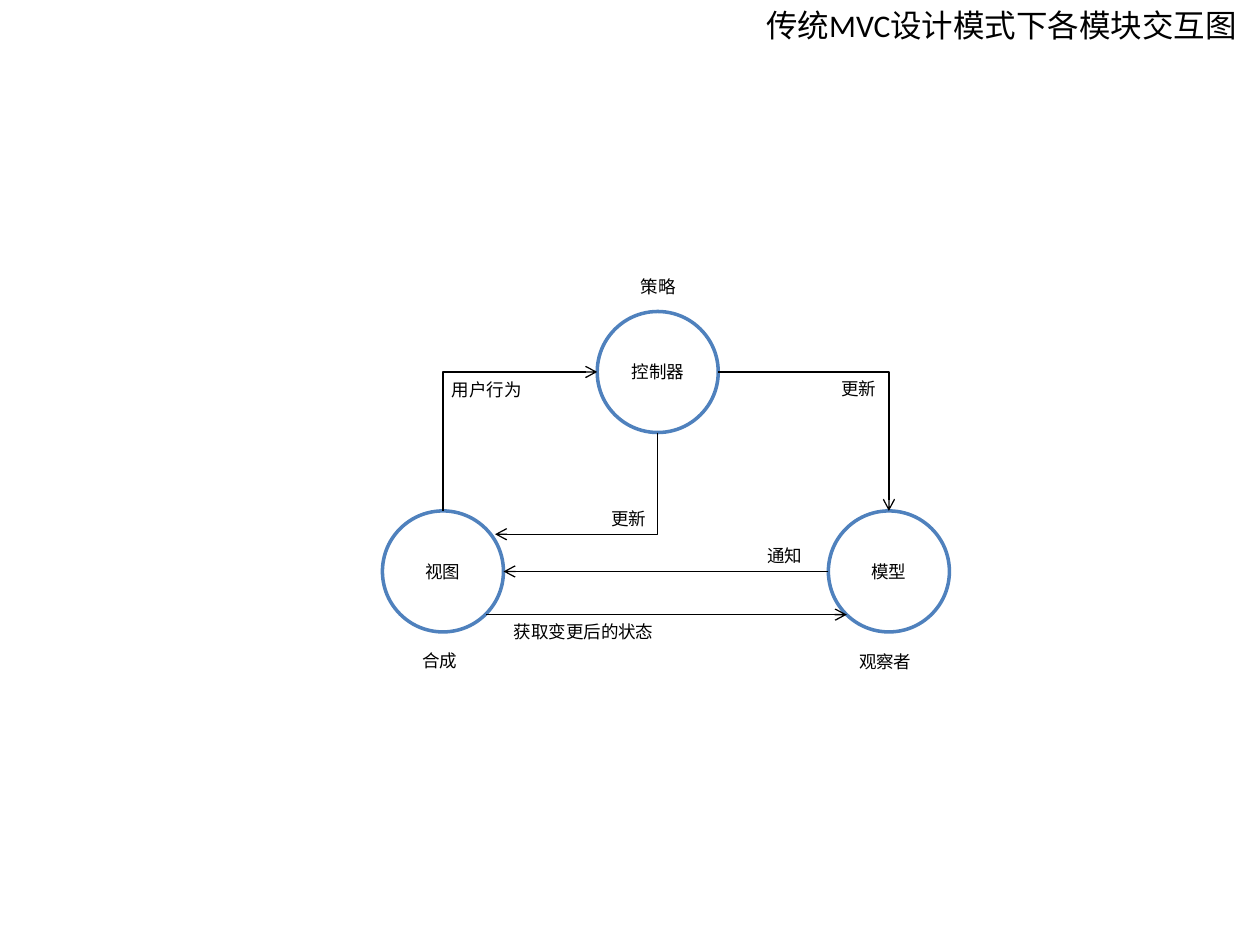
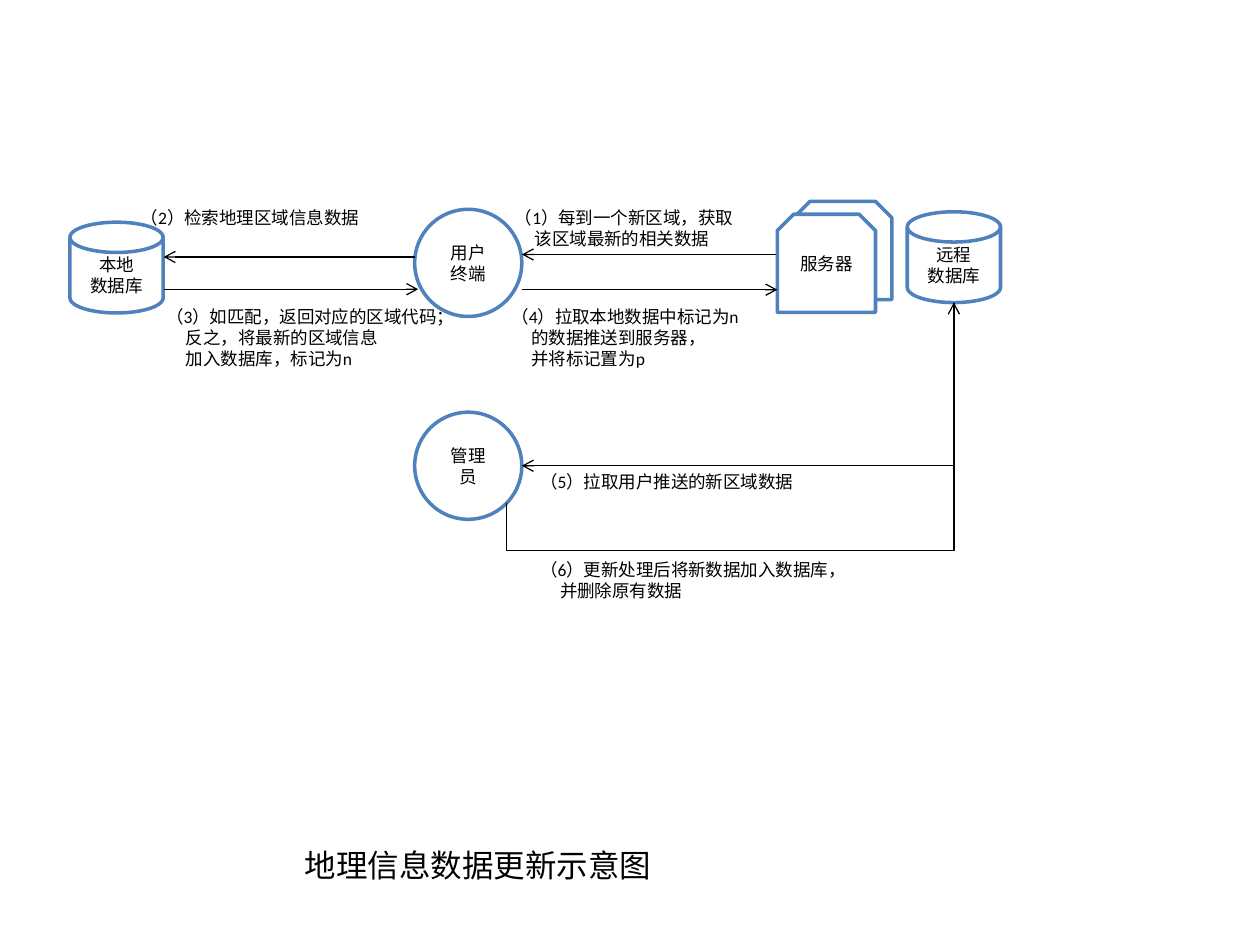
from lxml.etree import SubElement
from pptx import Presentation
from pptx.dml.color import RGBColor
from pptx.enum.shapes import MSO_CONNECTOR as Link, MSO_SHAPE as Form
from pptx.enum.text import MSO_ANCHOR as Anchor, MSO_AUTO_SIZE as AutoSize, PP_ALIGN as Align
from pptx.oxml.ns import qn
from pptx.util import Cm, Pt

LATIN, CHINESE = "Calibri", "Noto Sans CJK SC"
INK, PAPER, OUTLINE = "000000", "FFFFFF", "4F81BD"
TITLE_SIZE, TEXT_SIZE = 18, 10
CIRCLE, DISK, SNIPPED = Form.OVAL, Form.FLOWCHART_MAGNETIC_DISK, Form.SNIP_2_SAME_RECTANGLE

MVC = {
    "title": ("传统MVC设计模式下各模块交互图", 15.19, 0, 10.31),
    "font": LATIN,
    "labels": [
        ("用户行为", 8.86, 7.52),
        ("更新", 16.71, 7.5),
        ("更新", 12.07, 10.11),
        ("通知", 15.22, 10.86),
        ("获取变更后的状态", 10.11, 12.4),
        ("合成", 8.26, 12.98),
        ("观察者", 17.07, 13),
        ("策略", 12.67, 5.44),
    ],
    "nodes": [
        (CIRCLE, "控制器", 12.04, 6.28, 2.44, 2.44),
        (CIRCLE, "视图", 7.71, 10.3, 2.44, 2.44),
        (CIRCLE, "模型", 16.7, 10.3, 2.44, 2.44),
    ],
    "routes": [
        ("up_first", 8.93, 10.3, 12.04, 7.5),
        ("up_first", 13.26, 8.72, 9.98, 10.77),
        ("across_first", 14.48, 7.5, 17.92, 10.3),
        ("straight", 16.7, 11.52, 10.15, 11.52),
        ("straight", 9.8, 12.39, 17.07, 12.39),
    ],
}

GEO_UPDATE = {
    "title": ("地理信息数据更新示意图", 5.89, 16.92, 7.5),
    "font": CHINESE,
    "labels": [
        ("（1）每到一个新区域，获取\n该区域最新的相关数据", 10.13, 4.04),
        ("（2）检索地理区域信息数据", 2.59, 4.04),
        ("（3）如匹配，返回对应的区域代码；\n反之，将最新的区域信息\n加入数据库，标记为n", 3.1, 6.05),
        ("（4）拉取本地数据中标记为n\n的数据推送到服务器，\n并将标记置为p", 10.06, 6.05),
        ("（5）拉取用户推送的新区域数据", 10.64, 9.37),
        ("（6）更新处理后将新数据加入数据库，\n并删除原有数据", 10.64, 11.15),
    ],
    "nodes": [
        (SNIPPED, "", 16, 4.06, 1.98, 1.98),
        (SNIPPED, "服务器", 15.67, 4.32, 1.98, 1.98),
        (DISK, "远程\n数据库", 18.29, 4.27, 1.88, 1.83),
        (DISK, "本地\n数据库", 1.41, 4.48, 1.88, 1.83),
        (CIRCLE, "用户\n终端", 8.36, 4.22, 2.16, 2.16),
        (CIRCLE, "管理员", 8.36, 8.31, 2.16, 2.16),
    ],
    "routes": [
        ("straight", 8.36, 5.18, 3.3, 5.18),
        ("straight", 3.3, 5.83, 8.43, 5.83),
        ("straight", 10.52, 5.84, 15.67, 5.84),
        ("straight", 15.65, 5.13, 10.52, 5.13),
        ("up_first", 19.23, 6.1, 10.52, 9.39),
        ("under", 10.21, 10.15, 19.23, 6.1),
    ],
}


def colour(hex_string):
    return RGBColor.from_string(hex_string)


def write(frame, text, size, align, font=LATIN, hang=0):
    for index, line in enumerate(text.split("\n")):
        paragraph = frame.add_paragraph() if index else frame.paragraphs[0]
        paragraph.alignment = align
        if index and hang:
            paragraph._p.get_or_add_pPr().set("marL", str(Cm(hang)))
        run = paragraph.add_run()
        run.text = line
        run.font.size = Pt(size)
        run.font.name = font
        run.font.color.rgb = colour(INK)
        SubElement(run._r.get_or_add_rPr(), qn("a:ea")).set("typeface", CHINESE)


def set_title(slide, text, left, top, width):
    title = slide.shapes.title
    title.left, title.top, title.width, title.height = Cm(left), Cm(top), Cm(width), Cm(1.02)
    frame = title.text_frame
    frame.word_wrap = False
    frame.auto_size = AutoSize.SHAPE_TO_FIT_TEXT
    frame.vertical_anchor = Anchor.TOP
    write(frame, text, TITLE_SIZE, Align.LEFT)


def add_label(slide, text, left, top):
    lines = text.split("\n")
    width = 0.6 + 0.36 * max(map(len, lines))
    height = 0.27 + 0.42 * len(lines)
    label = slide.shapes.add_textbox(Cm(left), Cm(top), Cm(width), Cm(height))
    label.text_frame.word_wrap = True
    write(label.text_frame, text, TEXT_SIZE, Align.LEFT, hang=0.4)


def add_node(slide, font, form, text, *box):
    node = slide.shapes.add_shape(form, *map(Cm, box))
    node.shadow.inherit = False
    node.fill.solid()
    node.fill.fore_color.rgb = colour(PAPER)
    node.line.color.rgb = colour(OUTLINE)
    node.line.width = Pt(2)
    frame = node.text_frame
    frame.word_wrap = True
    frame.vertical_anchor = Anchor.MIDDLE
    if form == SNIPPED:
        frame.margin_bottom = Cm(0.29)
    if text:
        write(frame, text, TEXT_SIZE, Align.CENTER, font)


def add_route(slide, course, x1, y1, x2, y2):
    turned = course in ("up_first", "under")
    ends = x1, y1, x2, y2
    if turned:
        mid_x, mid_y = (x1 + x2) / 2, (y1 + y2) / 2
        half_x, half_y = (x2 - x1) / 2, (y2 - y1) / 2
        ends = mid_x - half_y, mid_y + half_x, mid_x + half_y, mid_y - half_x
    link = Link.STRAIGHT if course == "straight" else Link.ELBOW
    route = slide.shapes.add_connector(link, *map(Cm, ends))
    route.line.color.rgb = colour(INK)
    route.line.width = Pt(0.75)
    SubElement(route.line._get_or_add_ln(), qn("a:tailEnd")).set("type", "arrow")
    properties = route._element.spPr
    SubElement(properties, qn("a:effectLst"))
    geometry = properties.find(qn("a:prstGeom"))
    if turned:
        properties.find(qn("a:xfrm")).set("rot", "5400000")
    if course in ("up_first", "across_first"):
        geometry.set("prst", "bentConnector2")
    if course == "under":
        bend = SubElement(geometry.find(qn("a:avLst")), qn("a:gd"))
        bend.set("name", "adj1")
        bend.set("fmla", "val -23500")


def main():
    deck = Presentation()
    deck.slide_width, deck.slide_height = Cm(25.4), Cm(19.05)
    for diagram in (MVC, GEO_UPDATE):
        slide = deck.slides.add_slide(deck.slide_layouts.get_by_name("Title Only"))
        set_title(slide, *diagram["title"])
        for label in diagram["labels"]:
            add_label(slide, *label)
        for node in diagram["nodes"]:
            add_node(slide, diagram["font"], *node)
        for route in diagram["routes"]:
            add_route(slide, *route)
    deck.save("out.pptx")


if __name__ == "__main__":
    main()
